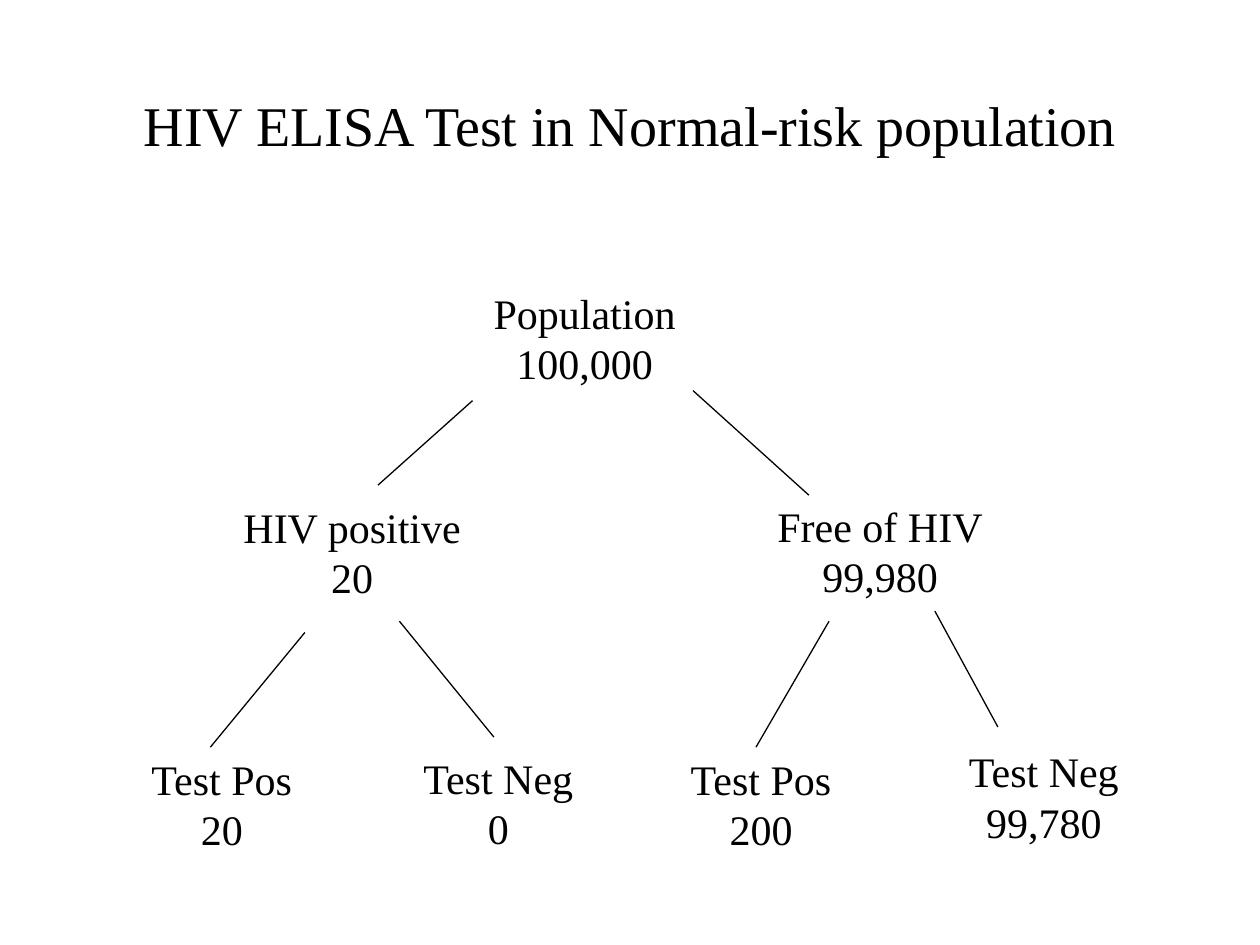
from dataclasses import dataclass
from pptx import Presentation
from pptx.dml.color import RGBColor
from pptx.enum import shapes, text
from pptx.oxml.ns import qn
from pptx.util import Inches, Pt
from lxml import etree


@dataclass(frozen=True)
class Theme:
    ink: RGBColor = RGBColor(0, 0, 0)
    font: str = "Times New Roman"
    head: int = 32
    body: int = 24
    lead: float = 1.2
    line: float = 0.75


THEME = Theme()
NODE_H = 0.9

# label, count, left, top, width
NODES = [
    ("Population", "100,000", 3.82, 2.23, 1.64),
    ("HIV positive", "20", 1.83, 3.93, 1.93),
    ("Free of HIV", "99,980", 6.07, 3.92, 1.83),
    ("Test Pos", "20", 1.09, 5.93, 1.34),
    ("Test Neg", "0", 3.25, 5.92, 1.41),
    ("Test Pos", "200", 5.37, 5.93, 1.34),
    ("Test Neg", "99,780", 7.58, 5.87, 1.41),
]

# start x, start y, end x, end y
BRANCHES = [
    (3.75, 3.18, 3, 3.85),
    (5.5, 3.1, 6.42, 3.93),
    (2.42, 5.02, 1.67, 5.93),
    (3.17, 4.93, 3.92, 5.85),
    (6.58, 4.93, 6, 5.93),
    (7.42, 4.85, 7.92, 5.77),
]


def write(frame, *lines, size=THEME.body, wrap=False):
    """Fill a text frame with centred lines."""
    frame.word_wrap = wrap
    frame.auto_size = text.MSO_AUTO_SIZE.NONE
    frame.vertical_anchor = text.MSO_ANCHOR.TOP
    for i, line in enumerate(lines):
        para = frame.paragraphs[0] if i == 0 else frame.add_paragraph()
        para.alignment = text.PP_ALIGN.CENTER
        para.line_spacing = Pt(size * THEME.lead)
        run = para.add_run()
        run.text = line
        run.font.size = Pt(size)
        run.font.name = THEME.font
        run.font.color.rgb = THEME.ink


def add_title(slide, words):
    title = slide.shapes.title
    title.left, title.top = Inches(0.42), Inches(0.67)
    title.width, title.height = Inches(9.17), Inches(0.64)
    write(title.text_frame, words, size=THEME.head, wrap=True)


def add_node(slide, label, count, left, top, width):
    box = slide.shapes.add_textbox(
        Inches(left), Inches(top), Inches(width), Inches(NODE_H))
    write(box.text_frame, label, count)


def add_branch(slide, *ends):
    line = slide.shapes.add_connector(
        shapes.MSO_CONNECTOR.STRAIGHT, *map(Inches, ends))
    line.line.color.rgb = THEME.ink
    line.line.width = Pt(THEME.line)
    etree.SubElement(line._element.spPr, qn("a:effectLst"))


def main():
    deck = Presentation()
    deck.slide_width, deck.slide_height = Inches(10), Inches(7.5)
    slide = deck.slides.add_slide(deck.slide_layouts[5])
    add_title(slide, "HIV ELISA Test in Normal-risk population")
    for node in NODES:
        add_node(slide, *node)
    for branch in BRANCHES:
        add_branch(slide, *branch)
    deck.save("out.pptx")


if __name__ == "__main__":
    main()
